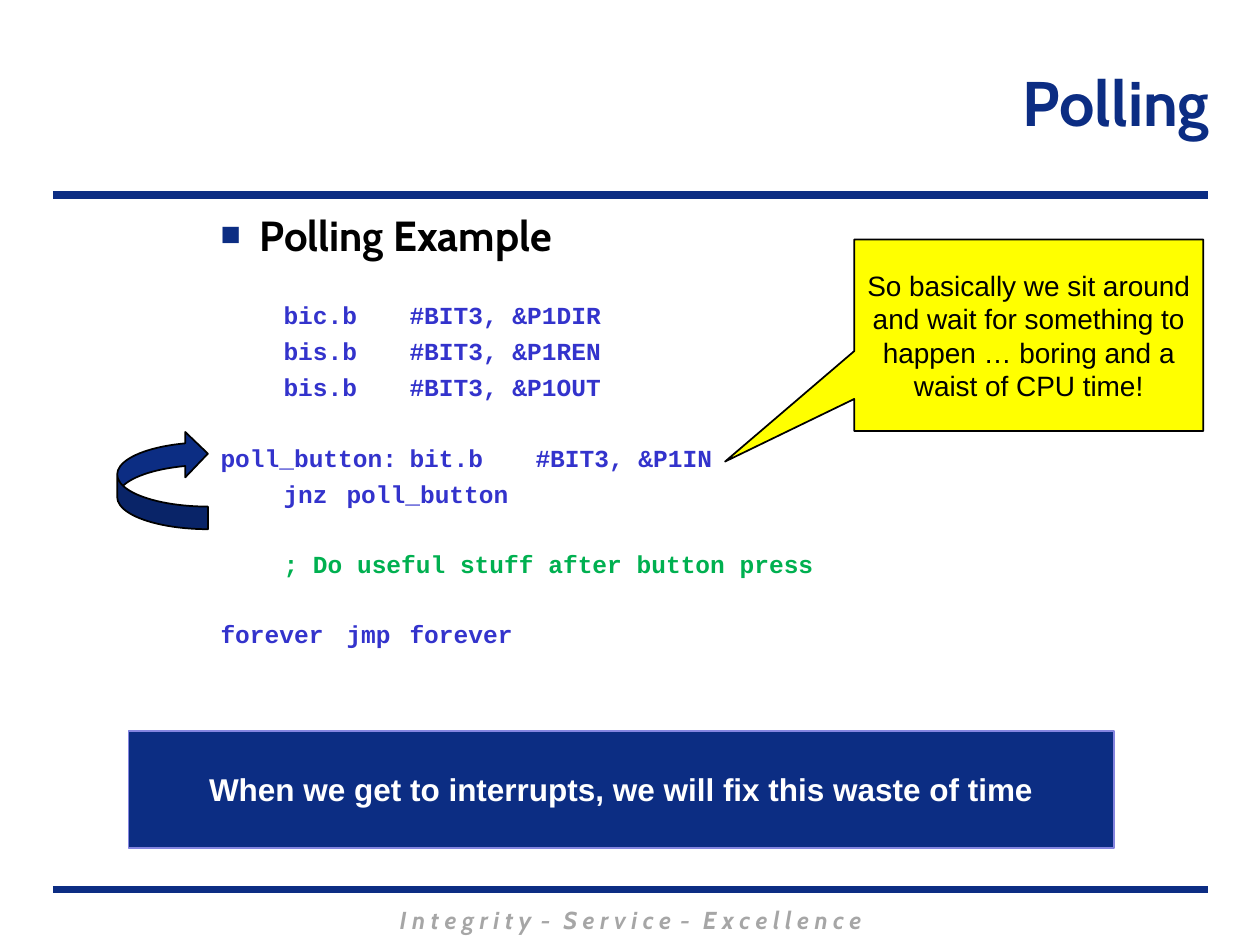
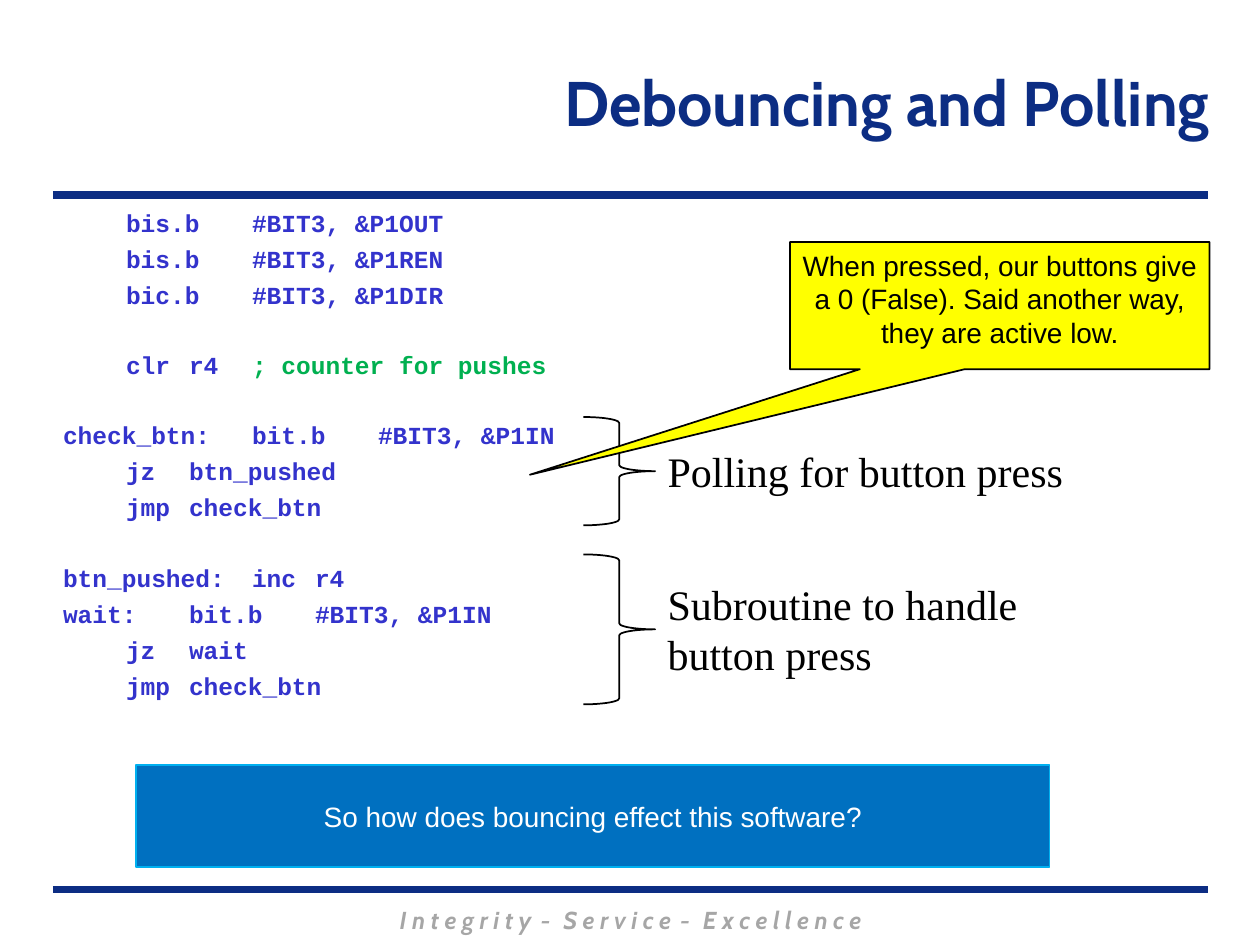
from dataclasses import dataclass

from lxml import etree
from pptx import Presentation
from pptx.dml.color import RGBColor
from pptx.enum.shapes import MSO_CONNECTOR, MSO_SHAPE
from pptx.enum.text import MSO_ANCHOR, MSO_AUTO_SIZE, PP_ALIGN
from pptx.oxml.ns import qn
from pptx.util import Pt

EMU_PER_PX = 9144
STRAIGHT = MSO_CONNECTOR.STRAIGHT
RECTANGLE = MSO_SHAPE.RECTANGLE
CALLOUT = MSO_SHAPE.RECTANGULAR_CALLOUT
BRACE = MSO_SHAPE.RIGHT_BRACE
LOOP_ARROW = MSO_SHAPE.CURVED_LEFT_ARROW
LEFT, CENTER, RIGHT = PP_ALIGN.LEFT, PP_ALIGN.CENTER, PP_ALIGN.RIGHT
TOP, MIDDLE = MSO_ANCHOR.TOP, MSO_ANCHOR.MIDDLE
FIXED, GROW = MSO_AUTO_SIZE.NONE, MSO_AUTO_SIZE.SHAPE_TO_FIT_TEXT


@dataclass(frozen=True)
class Theme:
    """Colours, fonts, type sizes and spacing shared by the slides."""

    navy: str = "0C2D83"
    black: str = "000000"
    white: str = "FFFFFF"
    gray: str = "A6A6A6"
    yellow: str = "FFFF00"
    code: str = "3333CC"
    comment: str = "00B050"
    lilac: str = "8585E0"
    blue: str = "0070C0"
    sky: str = "00B0F0"
    heading_font: str = "Cabin"
    body_font: str = "Arial"
    code_font: str = "Courier New"
    label_font: str = "Times New Roman"
    title_size: int = 36
    heading_size: int = 24
    banner_size: int = 18
    note_size: int = 16
    code_size: int = 14
    line_gap: float = 3.75
    block_gap: float = 23.35
    code_tabs: tuple = (163, 245, 327)


THEME = Theme()


def px(length):
    """Turn px into EMU."""
    return length * EMU_PER_PX


def rgb(color):
    """Turn a hex colour into an RGBColor."""
    return RGBColor.from_string(color)


def place(shape, at):
    """Move and size a shape from left, top, width and height."""
    shape.left, shape.top, shape.width, shape.height = map(px, at)


def add_child(parent, tag, **attributes):
    """Append a drawing element with its attributes."""
    values = {name: str(value) for name, value in attributes.items()}
    return etree.SubElement(parent, qn(tag), values)


def set_frame(frame, anchor=TOP, wrap=True, fit=FIXED):
    """Set how a text frame wraps, fits and anchors its text."""
    frame.word_wrap = wrap
    frame.auto_size = fit
    frame.vertical_anchor = anchor


def write(frame, text, size=THEME.note_size, font=THEME.body_font,
          color=THEME.black, bold=False, italic=False, align=LEFT, before=0):
    """Add a paragraph of text, or of (text, colour, tracking) spans."""
    para = frame.paragraphs[0] if not frame.text else frame.add_paragraph()
    para.alignment = align
    para.space_before = Pt(before)
    spans = [(text, color, 0)] if isinstance(text, str) else text
    for words, span_color, tracking in spans:
        span = para.add_run()
        span.text = words
        span.font.size = Pt(size)
        span.font.name = font
        span.font.bold = bold
        span.font.italic = italic
        span.font.color.rgb = rgb(span_color)
        if tracking:
            span._r.get_or_add_rPr().set("spc", str(tracking))
    return para


def set_indent(para, margin, indent):
    """Set the left margin and first-line indent, returning the properties."""
    properties = para._p.get_or_add_pPr()
    properties.set("marL", str(px(margin)))
    properties.set("indent", str(px(indent)))
    return properties


def add_heading(frame, text):
    """Write a heading with a square bullet."""
    para = write(frame, text, size=THEME.heading_size, font=THEME.heading_font,
                 bold=True, before=3)
    properties = set_indent(para, 31, -31)
    bullet_color = add_child(properties, "a:buClr")
    add_child(bullet_color, "a:srgbClr", val=THEME.navy)
    add_child(properties, "a:buSzPct", val=80000)
    add_child(properties, "a:buChar", char="■")


def add_code_line(frame, text, before=THEME.line_gap, tabs=THEME.code_tabs):
    """Write a tabbed code line, with any comment in its own colour."""
    code, mark, comment = text.partition(";")
    spans = [(code, THEME.code, 0)]
    if mark:
        spans.append((mark + comment, THEME.comment, 0))
    para = write(frame, spans, size=THEME.code_size, font=THEME.code_font,
                 bold=True, before=before)
    properties = set_indent(para, 0, 0)
    add_child(properties, "a:buNone")
    stops = add_child(properties, "a:tabLst")
    for stop in tabs:
        add_child(stops, "a:tab", pos=px(stop), algn="l")


def add_code_block(frame, *lines, tabs=THEME.code_tabs):
    """Write lines of code, set apart from any text above."""
    before = THEME.block_gap if frame.text else THEME.line_gap
    for line in lines:
        add_code_line(frame, line, before, tabs)
        before = THEME.line_gap


def add_rule(slide, top):
    """Draw a navy rule across the slide."""
    rule = slide.shapes.add_connector(STRAIGHT, px(42), px(top), px(959), px(top))
    rule.line.color.rgb = rgb(THEME.navy)
    rule.line.width = Pt(4.5)
    add_child(rule._element.spPr, "a:effectLst")


def add_shape(slide, kind, at, fill=None, line=THEME.black, adjustments=()):
    """Draw a preset shape with a thin outline."""
    shape = slide.shapes.add_shape(kind, *map(px, at))
    shape.shadow.inherit = False
    if fill:
        shape.fill.solid()
        shape.fill.fore_color.rgb = rgb(fill)
    else:
        shape.fill.background()
    shape.line.color.rgb = rgb(line)
    shape.line.width = Pt(1)
    for index, value in enumerate(adjustments):
        shape.adjustments[index] = value
    return shape


def add_callout(slide, at, text, pointer, anchor=MIDDLE):
    """Draw a yellow callout whose pointer ends at the given offset."""
    callout = add_shape(slide, CALLOUT, at, THEME.yellow, adjustments=pointer)
    set_frame(callout.text_frame, anchor)
    write(callout.text_frame, text, align=CENTER)


def add_banner(slide, at, text, fill, line, **style):
    """Draw a filled banner with centred white text."""
    banner = add_shape(slide, RECTANGLE, at, fill, line)
    set_frame(banner.text_frame, MIDDLE)
    write(banner.text_frame, text, color=THEME.white, align=CENTER, **style)


def add_text(slide, at, text, wrap=True, **style):
    """Add a text box that grows with its text."""
    box = slide.shapes.add_textbox(*map(px, at))
    set_frame(box.text_frame, wrap=wrap, fit=GROW)
    write(box.text_frame, text, **style)


def add_brace_label(slide, top, height, label_at, text, wrap):
    """Draw a right brace and the label that it points to."""
    add_shape(slide, BRACE, (463, top, 57, height))
    add_text(slide, label_at, text, wrap, size=THEME.heading_size,
             font=THEME.label_font, before=2)


def add_slide(deck, title, body_at):
    """Add a slide with its rules, motto and title; return it and its body."""
    slide = deck.slides.add_slide(deck.slide_layouts[1])
    for top in (706, 155):
        add_rule(slide, top)
    dash = (" - ", THEME.gray, 200)
    motto = [("I n t e g r i t y", THEME.gray, 0), dash,
             ("S e r v i c e", THEME.gray, 0), dash,
             ("E x c e l l e n c e", THEME.gray, 0)]
    add_text(slide, (142, 713, 717, 34), motto, size=THEME.code_size,
             font=THEME.heading_font, bold=True, italic=True, align=CENTER)
    heading, body = slide.shapes.title, slide.placeholders[1]
    place(heading, (200, 20, 770, 120))
    set_frame(heading.text_frame, MIDDLE)
    write(heading.text_frame, title, size=THEME.title_size,
          font=THEME.heading_font, color=THEME.navy, bold=True, align=RIGHT)
    place(body, body_at)
    set_frame(body.text_frame)
    return slide, body.text_frame


def build_polling(deck):
    """Build the slide with the polling loop."""
    slide, code = add_slide(deck, "Polling", (165, 161, 719, 540))
    add_heading(code, "Polling Example")
    add_code_block(code, "\tbic.b\t#BIT3, &P1DIR", "\tbis.b\t#BIT3, &P1REN",
                   "\tbis.b\t#BIT3, &P1OUT")
    add_code_block(code, "poll_button:\tbit.b\t#BIT3, &P1IN",
                   "\tjnz\tpoll_button")
    add_code_block(code, "\t; Do useful stuff after button press", tabs=(171,))
    add_code_block(code, "forever\tjmp\tforever", tabs=(163, 257))
    loop = add_shape(slide, LOOP_ARROW, (93, 342, 72, 78), THEME.navy)
    loop.rotation = 180
    add_callout(slide, (678, 190, 277, 152),
                "So basically we sit around and wait for something to happen "
                "… boring and a waist of CPU time!", (-0.87, 0.66))
    add_banner(slide, (102, 580, 782, 93),
               "When we get to interrupts, we will fix this waste of time",
               THEME.navy, THEME.lilac, size=THEME.banner_size, bold=True)


def build_debouncing(deck):
    """Build the slide with the button counter."""
    slide, code = add_slide(deck, "Debouncing and Polling", (40, 160, 920, 540))
    add_code_block(code, "\tbis.b\t#BIT3, &P1OUT", "\tbis.b\t#BIT3, &P1REN",
                   "\tbic.b\t#BIT3, &P1DIR")
    add_code_block(code, "\tclr\tr4\t; counter for pushes")
    add_code_block(code, "check_btn:\tbit.b\t#BIT3, &P1IN",
                   "\tjz\tbtn_pushed", "\tjmp\tcheck_btn")
    add_code_block(code, "btn_pushed:\tinc\tr4", "wait:\tbit.b\t#BIT3, &P1IN",
                   "\tjz\twait", "\tjmp\tcheck_btn")
    add_brace_label(slide, 331, 86, (520, 349, 337, 50),
                    "Polling for button press", wrap=False)
    add_brace_label(slide, 440, 119, (520, 454, 380, 91),
                    "Subroutine to handle button press", wrap=True)
    add_banner(slide, (108, 607, 725, 81),
               "So how does bouncing effect this software?",
               THEME.blue, THEME.sky)
    add_callout(slide, (627, 192, 333, 101),
                "When pressed, our buttons give a 0 (False). Said another way, "
                "they are active low.", (-1.12, 1.33), anchor=TOP)


def main():
    """Build and save the deck."""
    deck = Presentation()
    deck.slide_width, deck.slide_height = px(1000), px(750)
    build_polling(deck)
    build_debouncing(deck)
    deck.save("out.pptx")


if __name__ == "__main__":
    main()
